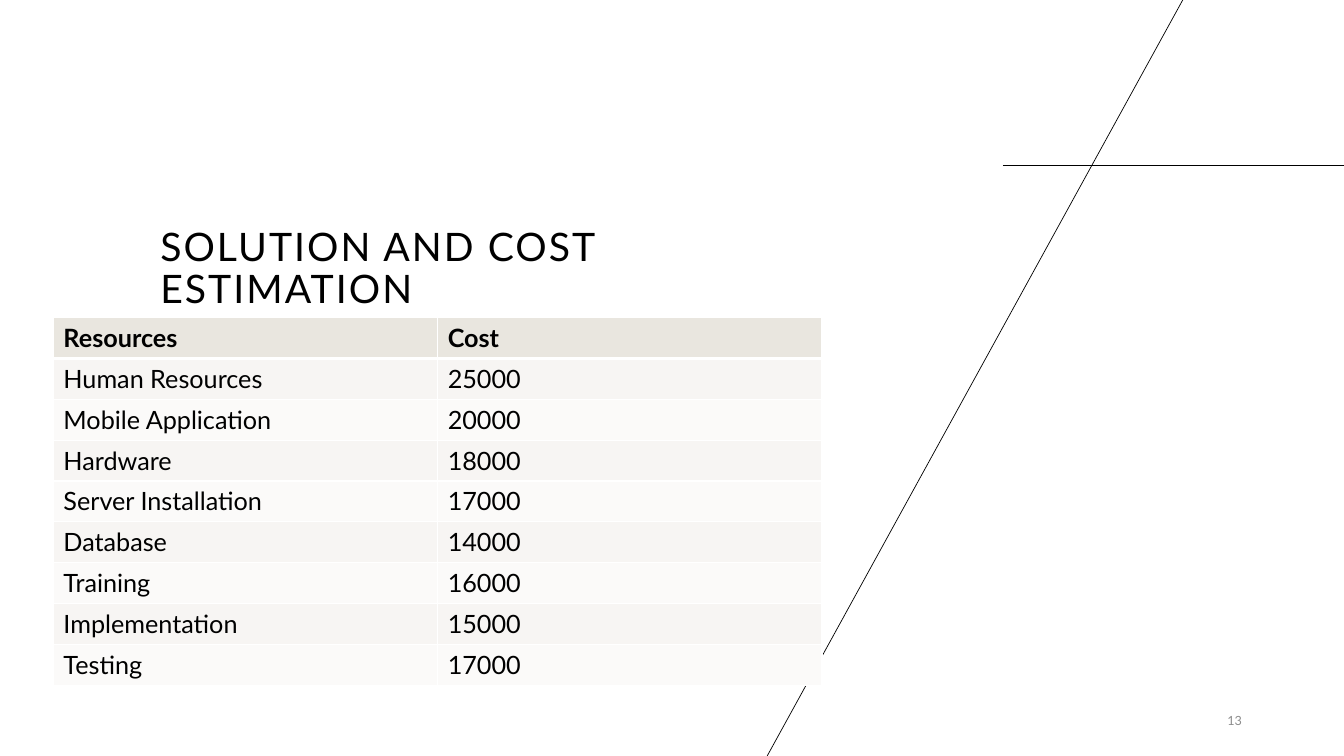
from lxml import etree
from pptx import Presentation
from pptx import util as u
from pptx.dml.color import RGBColor
from pptx.enum import shapes, text
from pptx.oxml import ns

FONT = "Lato"
COLORS = {
    "ink": "000000",
    "muted": "8C8C8C",
    "border": "FFFFFF",
    "header": "E9E6DF",
    "odd": "F7F5F3",
    "even": "FBFAF9",
}
COSTS = [
    ("Resources", "Cost"),
    ("Human Resources", "25000"),
    ("Mobile Application", "20000"),
    ("Hardware", "18000"),
    ("Server Installation", "17000"),
    ("Database", "14000"),
    ("Training", "16000"),
    ("Implementation", "15000"),
    ("Testing", "17000"),
]
LEFT, TOP, COLUMN_WIDTH, ROW_HEIGHT = 38.16, 226.8, 274.5, 29.2


def color(name):
    """Return the named colour."""
    return RGBColor.from_string(COLORS[name])


def write(frame, words, size=18, ink="ink", bold=False, align=None,
          anchor=None, line_spacing=None, tracking=None):
    """Fill a text frame with one formatted paragraph."""
    frame.word_wrap = True
    if anchor is not None:
        frame.vertical_anchor = anchor
    para = frame.paragraphs[0]
    para.alignment = align
    para.line_spacing = line_spacing
    span = para.add_run()
    span.text = words
    span.font.name = FONT
    span.font.size = u.Pt(size)
    span.font.bold = bold
    span.font.color.rgb = color(ink)
    if tracking is not None:
        span.font._element.set("spc", str(round(tracking * 100)))


def add_line(page, *ends):
    """Draw a thin straight line without a shadow."""
    line = page.shapes.add_connector(
        shapes.MSO_CONNECTOR.STRAIGHT, *(u.Pt(end) for end in ends))
    line.line.color.rgb = color("ink")
    line.line.width = u.Pt(0.5)
    etree.SubElement(line._element.spPr, ns.qn("a:effectLst"))


def place(shape, left, top, width, height):
    """Set the position and size of a shape."""
    shape.left, shape.top = u.Pt(left), u.Pt(top)
    shape.width, shape.height = u.Pt(width), u.Pt(height)


def add_title(page, words):
    """Place and write the slide title."""
    title = page.shapes.title
    place(title, 107.28, 131.76, 402.48, 95.04)
    title.text_frame.auto_size = text.MSO_AUTO_SIZE.NONE
    write(title.text_frame, words, size=28, align=text.PP_ALIGN.LEFT,
          anchor=text.MSO_ANCHOR.BOTTOM, line_spacing=0.9, tracking=1.5)


def add_page_number(page, number):
    """Write the page number at the lower right."""
    box = page.shapes.add_textbox(
        u.Pt(678.24), u.Pt(500.4), u.Pt(216), u.Pt(28.8))
    write(box.text_frame, number, size=9, ink="muted",
          align=text.PP_ALIGN.RIGHT, anchor=text.MSO_ANCHOR.MIDDLE)


def add_borders(cell, top, bottom):
    """Draw the four borders of a cell."""
    properties = cell._tc.get_or_add_tcPr()
    for side, width in zip("LRTB", (1, 1, top, bottom)):
        edge = etree.SubElement(properties, ns.qn(f"a:ln{side}"),
                                w=str(u.Pt(width)))
        fill = etree.SubElement(edge, ns.qn("a:solidFill"))
        etree.SubElement(fill, ns.qn("a:srgbClr"), val=COLORS["border"])


def add_cost_table(page, rows):
    """Build the cost table with a header and banded rows."""
    columns = len(rows[0])
    table = page.shapes.add_table(
        len(rows), columns, u.Pt(LEFT), u.Pt(TOP),
        u.Pt(COLUMN_WIDTH * columns), u.Pt(ROW_HEIGHT * len(rows))).table
    for column in table.columns:
        column.width = u.Pt(COLUMN_WIDTH)
    for row, values in enumerate(rows):
        table.rows[row].height = u.Pt(ROW_HEIGHT)
        band = "header" if row == 0 else ("even", "odd")[row % 2]
        for column, value in enumerate(values):
            cell = table.cell(row, column)
            add_borders(cell, top=3 if row == 1 else 1,
                        bottom=3 if row == 0 else 1)
            cell.fill.solid()
            cell.fill.fore_color.rgb = color(band)
            write(cell.text_frame, value, bold=row == 0)


def main():
    """Build and save the cost estimation slide."""
    deck = Presentation()
    deck.slide_width, deck.slide_height = u.Pt(960), u.Pt(540)
    page = deck.slides.add_slide(deck.slide_layouts[5])
    add_line(page, 716.4, 118.08, 960, 118.08)
    add_line(page, 846, -2.16, 547.2, 541.44)
    add_title(page, "SOLUTION AND COST ESTIMATION")
    add_page_number(page, "13")
    add_cost_table(page, COSTS)
    deck.save("out.pptx")


if __name__ == "__main__":
    main()
